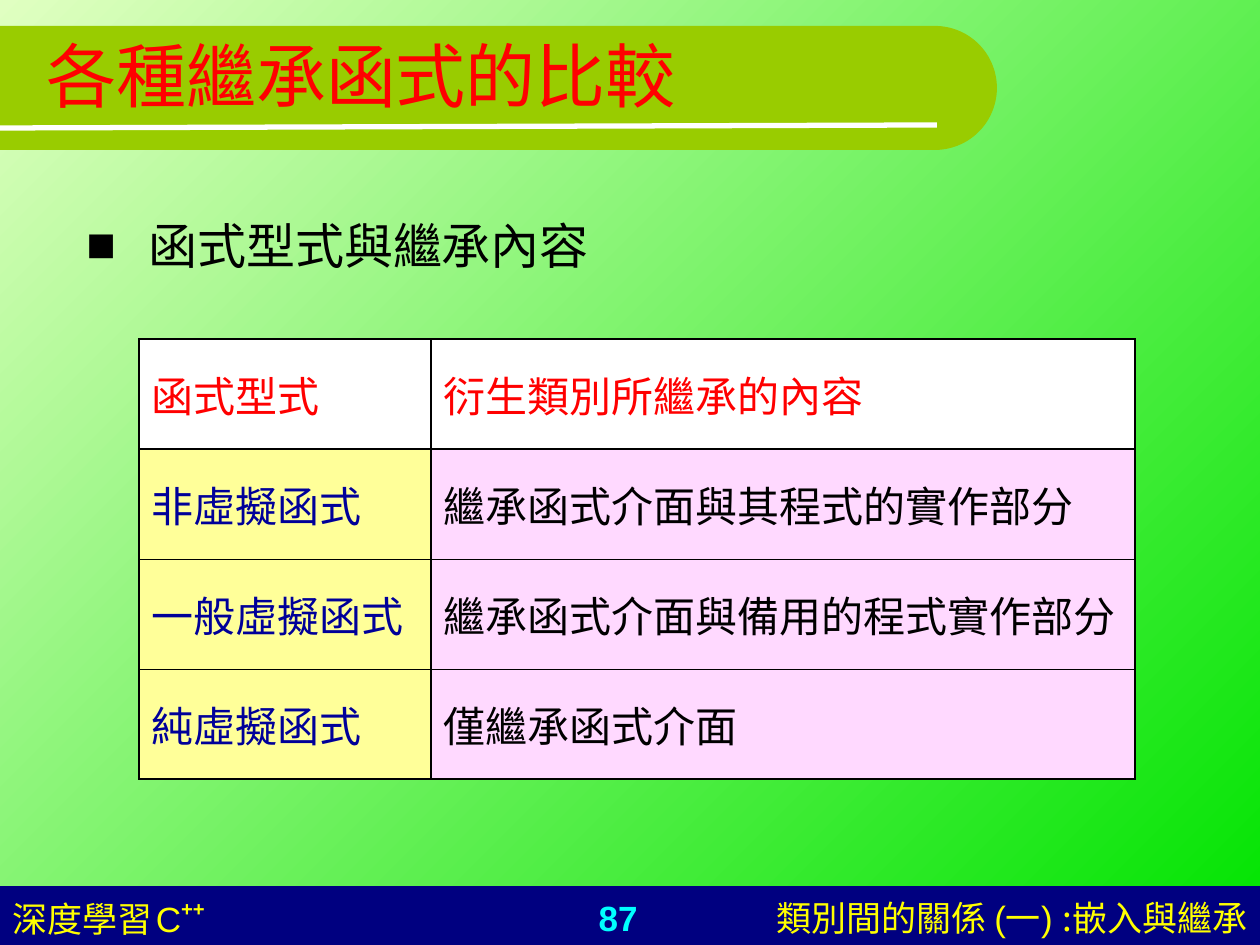
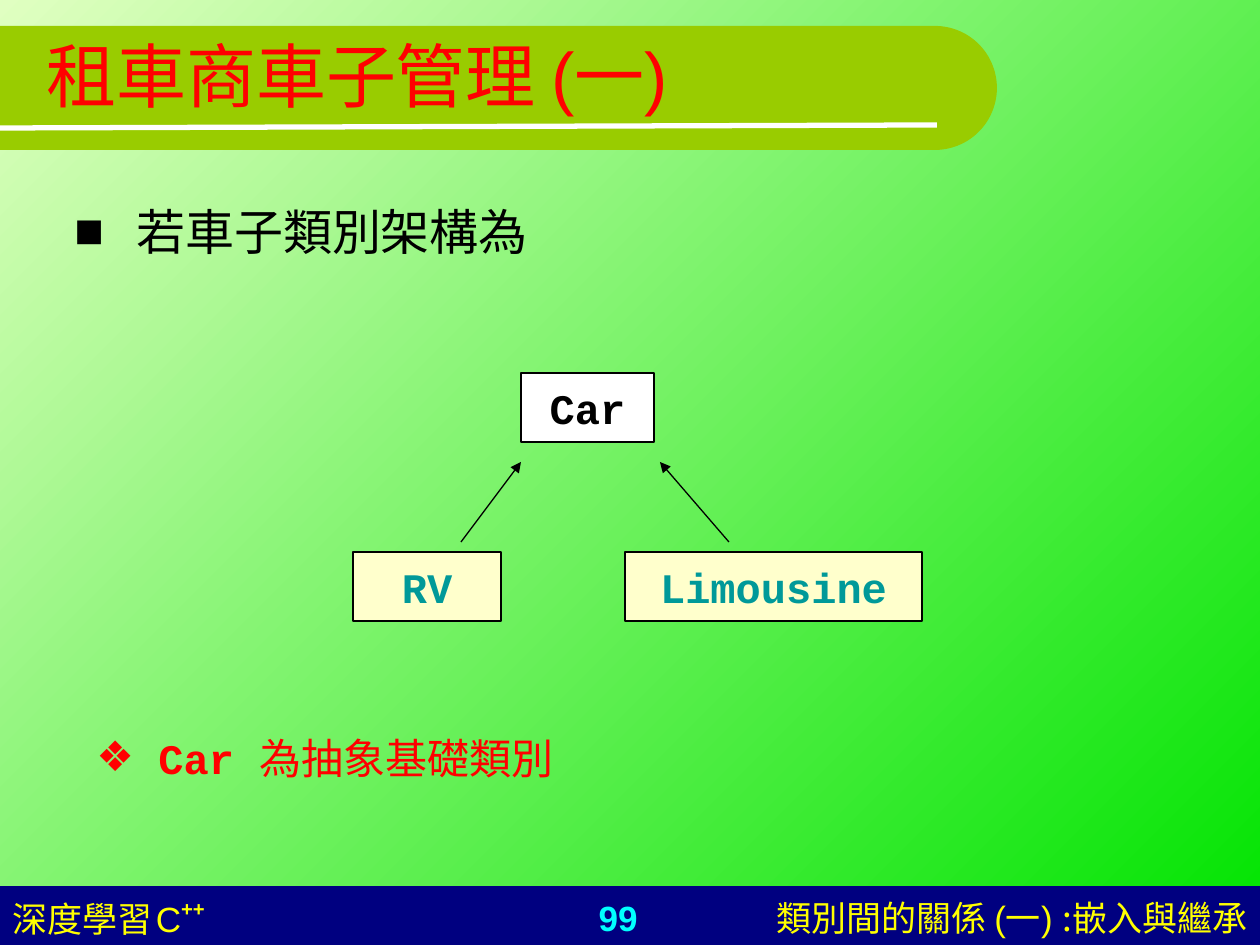
import math

from lxml import etree
from pptx import Presentation
from pptx import util as u
from pptx.dml import color
from pptx.enum import shapes, text
from pptx.oxml import ns

EMU_PER_PX = 914400 / 126
WIDTH, HEIGHT = 1260, 945
COLORS = {
    "pale": "E0FFC1", "green": "00E400", "band": "99CC00", "navy": "000080",
    "white": "FFFFFF", "black": "000000", "red": "FF0000", "yellow": "FFFF00",
    "cyan": "00FFFF", "teal": "009999", "blue": "000099", "cream": "FFFFCC",
    "lemon": "FFFF99", "pink": "FFD9FF",
}
SANS, MONO = "Arial", "Courier New"
CJK, CJK_SC = "Noto Sans CJK TC", "Noto Sans CJK SC"
ALIGN, ANCHOR = text.PP_ALIGN, text.MSO_ANCHOR


def px(length):
    return u.Emu(round(length * EMU_PER_PX))


def rgb(name):
    return color.RGBColor.from_string(COLORS[name])


def sub(parent, tag, **attributes):
    return etree.SubElement(parent, ns.qn(tag), attributes)


class Deck:
    """Holds the shared style and the slide being drawn."""

    def __init__(self):
        self.presentation = Presentation()
        self.presentation.slide_width = px(WIDTH)
        self.presentation.slide_height = px(HEIGHT)
        self.slide = None

    def new_slide(self, title, number):
        self.slide = self.presentation.slides.add_slide(
            self.presentation.slide_layouts[6])
        fill = self.slide.background.fill
        fill.gradient()
        fill.gradient_angle = 315
        for stop, name in zip(fill.gradient_stops, ("pale", "green")):
            stop.color.rgb = rgb(name)
        self.footer(number)
        self.title(title)

    def footer(self, number):
        self.rectangle((0, 886, WIDTH, 59), "navy")
        paragraph = self.text_box((471, 890, 294, 55), ALIGN.CENTER)
        self.run(paragraph, number, 20, "cyan", bold=True)

        paragraph = self.text_box((640, 890, 620, 55), ALIGN.RIGHT)
        self.run(paragraph, "類別間的關係 (一) ", 20, "yellow")
        self.run(paragraph, ":", 20, "yellow", CJK)
        self.run(paragraph, "嵌入與繼承", 20, "yellow", CJK_SC)

        paragraph = self.text_box((0, 890, 451, 55))
        self.run(paragraph, "深度學習", 20, "yellow")
        self.run(paragraph, " ", 8, "yellow")
        self.run(paragraph, "C", 20, "yellow")
        plus = self.run(paragraph, "++", 20, "yellow", bold=True)
        plus.font._element.set("baseline", "46000")

    def title(self, title):
        # Band with a half-round right end
        center_x, center_y, radius = 935, 88, 62
        angles = [math.radians(degree) for degree in range(-90, 91, 3)]
        outline = [(px(center_x + radius * math.cos(angle)),
                    px(center_y + radius * math.sin(angle))) for angle in angles]
        outline.append((0, px(center_y + radius)))
        builder = self.slide.shapes.build_freeform(0, px(center_y - radius))
        builder.add_line_segments(outline, close=True)
        self.paint(builder.convert_to_shape(), "band")
        self.line((0, 128), (937, 125), "white", 3)

        paragraph = self.text_box((34, -4, 1134, 157), anchor=ANCHOR.MIDDLE)
        self.run(paragraph, title, 40, "red")

    def paint(self, shape, fill, line=None):
        shape.shadow.inherit = False
        shape.fill.solid()
        shape.fill.fore_color.rgb = rgb(fill)
        if line:
            shape.line.color.rgb = rgb(line)
            shape.line.width = u.Pt(0.75)
        else:
            shape.line.fill.background()

    def rectangle(self, box, fill, line=None):
        shape = self.slide.shapes.add_shape(
            shapes.MSO_SHAPE.RECTANGLE, *map(px, box))
        self.paint(shape, fill, line)
        return shape

    def class_box(self, box, name, fill, font_color):
        frame = self.rectangle(box, fill, "black").text_frame
        frame.word_wrap = False
        frame.vertical_anchor = ANCHOR.MIDDLE
        frame.paragraphs[0].alignment = ALIGN.CENTER
        self.run(frame.paragraphs[0], name, 24, font_color, MONO, True)

    def line(self, start, end, line_color, width, arrow=False):
        connector = self.slide.shapes.add_connector(
            shapes.MSO_CONNECTOR.STRAIGHT, *map(px, start + end))
        connector.line.color.rgb = rgb(line_color)
        connector.line.width = u.Pt(width)
        if arrow:
            sub(connector.line._get_or_add_ln(), "a:tailEnd", type="triangle")
        sub(connector._element.spPr, "a:effectLst")

    def text_box(self, box, align=ALIGN.LEFT, anchor=ANCHOR.TOP):
        frame = self.slide.shapes.add_textbox(*map(px, box)).text_frame
        frame.word_wrap = True
        frame.vertical_anchor = anchor
        frame.paragraphs[0].alignment = align
        return frame.paragraphs[0]

    def bullet(self, box, symbol, symbol_color):
        paragraph = self.text_box(box)
        properties = paragraph._p.get_or_add_pPr()
        properties.set("marL", str(px(62)))
        properties.set("indent", str(-px(62)))
        sub(sub(properties, "a:buClr"), "a:srgbClr", val=COLORS[symbol_color])
        sub(properties, "a:buFont", typeface=SANS)
        sub(properties, "a:buChar", char=symbol)
        return paragraph

    def run(self, paragraph, words, size, font_color, font=SANS, bold=False):
        run = paragraph.add_run()
        run.text = words
        run.font.size = u.Pt(size)
        run.font.bold = bold
        run.font.color.rgb = rgb(font_color)
        run.font.name = font
        run.font.language_id = None
        east_asian = font if font == CJK_SC else CJK
        sub(run.font._element, "a:ea", typeface=east_asian)
        return run

    def table(self, left, top, widths, row_height, rows):
        graphic = self.slide.shapes.add_table(
            len(rows), len(widths), px(left), px(top),
            px(sum(widths)), px(row_height * len(rows)))
        table = graphic.table
        table.first_row = table.horz_banding = False
        for column, width in zip(table.columns, widths):
            column.width = px(width)
        last_row, last_column = len(rows) - 1, len(widths) - 1
        for i, row in enumerate(rows):
            table.rows[i].height = px(row_height)
            fills = ("lemon", "pink") if i else ("white", "white")
            inks = ("blue", "black") if i else ("red", "red")
            for j, words in enumerate(row):
                cell = table.cell(i, j)
                # Heavy outer frame, medium header and column rules, thin rows
                self.borders(cell, {
                    "L": 0.75 if j else 1.08,
                    "R": 1.08 if j == last_column else 0.75,
                    "T": (1.08, 0.75)[i] if i < 2 else 0.45,
                    "B": 1.08 if i == last_row else 0.45 if i else 0.75,
                })
                cell.fill.solid()
                cell.fill.fore_color.rgb = rgb(fills[j])
                cell.vertical_anchor = ANCHOR.MIDDLE
                paragraph = cell.text_frame.paragraphs[0]
                self.run(paragraph, words, 24, inks[j], MONO)

    def borders(self, cell, widths):
        properties = cell._tc.get_or_add_tcPr()
        for side, width in widths.items():
            border = sub(properties, f"a:ln{side}", w=str(u.Pt(width)))
            sub(sub(border, "a:solidFill"), "a:srgbClr", val=COLORS["black"])


def function_comparison(deck):
    deck.new_slide("各種繼承函式的比較", "87")
    deck.table(139, 339, (292, 704), 110, [
        ("函式型式", "衍生類別所繼承的內容"),
        ("非虛擬函式", "繼承函式介面與其程式的實作部分"),
        ("一般虛擬函式", "繼承函式介面與備用的程式實作部分"),
        ("純虛擬函式", "僅繼承函式介面"),
    ])
    paragraph = deck.bullet((74, 209, 660, 72), "■", "black")
    deck.run(paragraph, "函式型式與繼承內容", 28, "black", MONO)


def car_classes(deck):
    deck.new_slide("租車商車子管理 (一)", "99")
    paragraph = deck.bullet((62, 195, 1173, 100), "■", "black")
    deck.run(paragraph, "若車子類別架構為", 28, "black", MONO)

    # Class hierarchy
    deck.class_box((521, 373, 133, 69), "Car", "white", "black")
    deck.class_box((625, 552, 297, 69), "Limousine", "cream", "teal")
    deck.class_box((353, 552, 148, 69), "RV", "cream", "teal")
    for start, end in (((461, 542), (521, 462)), ((729, 542), (660, 462))):
        deck.line(start, end, "black", 0.75, arrow=True)

    paragraph = deck.bullet((84, 726, 530, 63), "❖", "red")
    deck.run(paragraph, "Car ", 24, "red", MONO, True)
    deck.run(paragraph, "為抽象基礎類別", 24, "red", MONO)


def main():
    deck = Deck()
    function_comparison(deck)
    car_classes(deck)
    deck.presentation.save("out.pptx")


if __name__ == "__main__":
    main()
